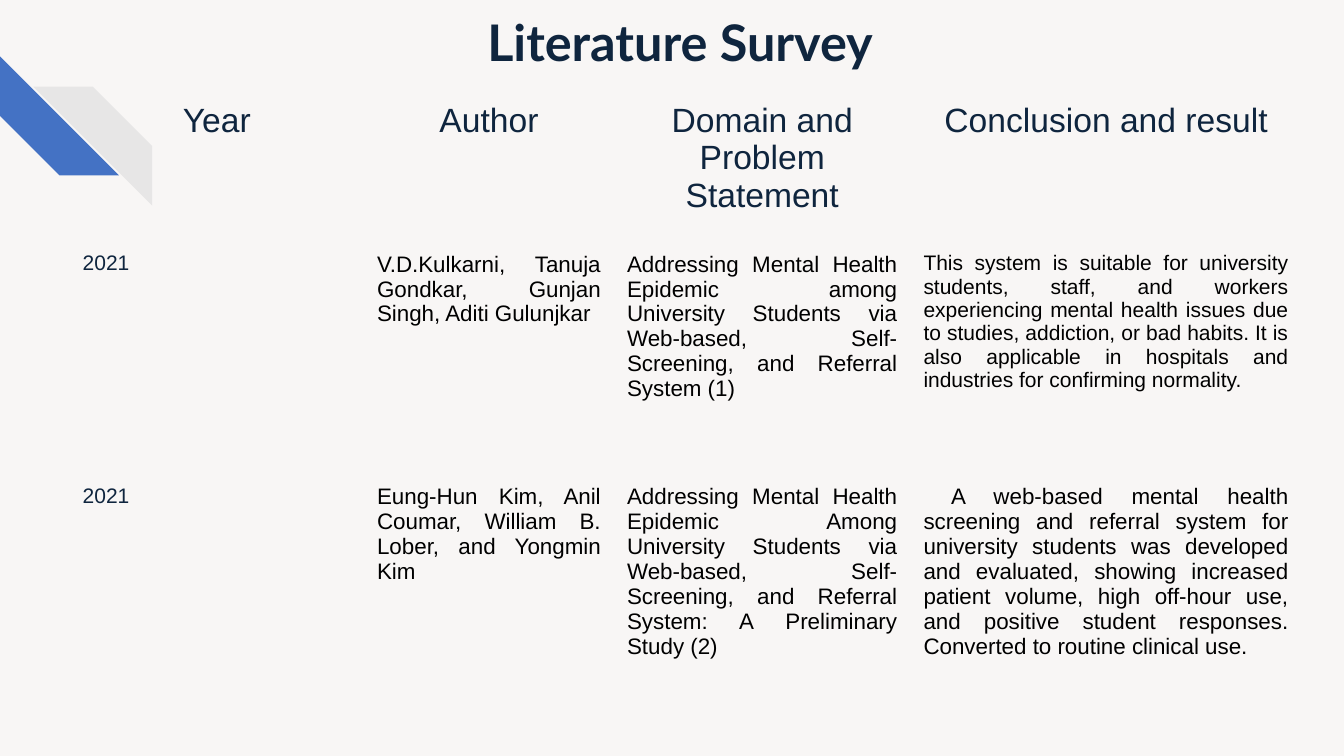
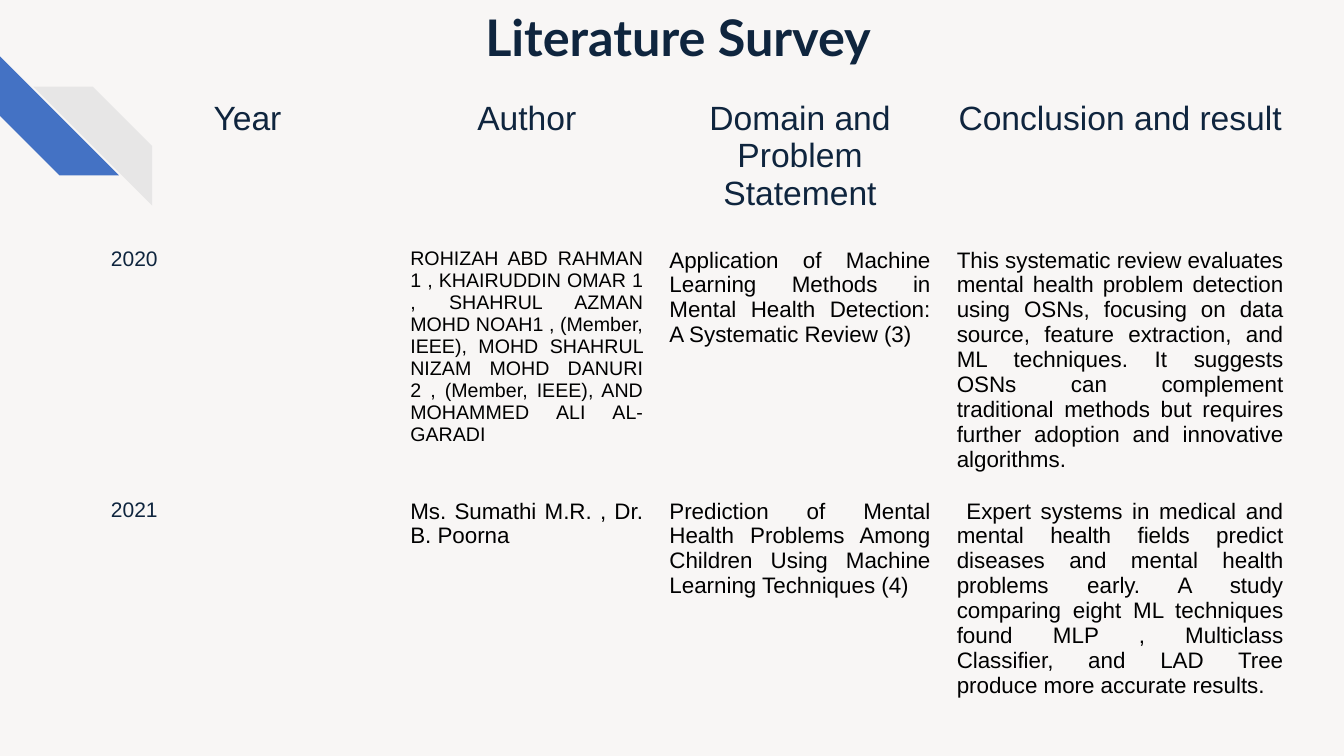
import pptx
import pptx.dml.color
import pptx.enum.shapes
import pptx.enum.text
import pptx.util

Inches, Pt = pptx.util.Inches, pptx.util.Pt
ALIGN = pptx.enum.text.PP_ALIGN

BACK, NAVY, BLACK = "F8F6F5", "0F253E", "000000"
BLUE, GREY = "4472C4", "E7E6E6"
NO_STYLE = "{2D5ABB26-0587-4C30-8999-92F81FD0307C}"
INSET = Inches(0.13)
MARGINS = {f"margin_{side}": INSET for side in ("left", "top", "right", "bottom")}
TITLE_FONT = {"name": "Lato", "size": Pt(36), "bold": True}
HEADERS = ["Year", "Author", "Domain and Problem Statement", "Conclusion and result"]

# Each paper: year, then (text, size) for author, domain and conclusion
SURVEYS = [
    {
        "title_at": (1.67, 0.05),
        "table_at": (0.69, 0.88),
        "cols": [2.92, 2.48, 2.94, 3.88],
        "rows": [1.49, 2.31, 2.46],
        "papers": [
            ("2021",
             ("V.D.Kulkarni, Tanuja Gondkar, Gunjan Singh, Aditi Gulunjkar", 16),
             ("Addressing Mental Health Epidemic among University Students via "
              "Web-based, Self-Screening, and Referral System (1)", 16),
             ("This system is suitable for university students, staff, and workers "
              "experiencing mental health issues due to studies, addiction, or bad "
              "habits. It is also applicable in hospitals and industries for "
              "confirming normality.", 15)),
            ("2021",
             ("Eung-Hun Kim, Anil Coumar, William B. Lober, and Yongmin Kim", 16),
             ("Addressing Mental Health Epidemic Among University Students via "
              "Web-based, Self-Screening, and Referral System: A Preliminary "
              "Study (2)", 16),
             (" A web-based mental health screening and referral system for "
              "university students was developed and evaluated, showing increased "
              "patient volume, high off-hour use, and positive student responses. "
              "Converted to routine clinical use.", 16)),
        ],
    },
    {
        "title_at": (1.65, 0),
        "table_at": (0.97, 0.86),
        "cols": [2.97, 2.57, 2.85, 3.5],
        "rows": [1.47, 2.49, 2.24],
        "papers": [
            ("2020",
             ("ROHIZAH ABD RAHMAN 1 , KHAIRUDDIN OMAR 1 , SHAHRUL AZMAN MOHD NOAH1 , "
              "(Member, IEEE), MOHD SHAHRUL NIZAM MOHD DANURI 2 , (Member, IEEE), "
              "AND MOHAMMED ALI AL-GARADI", 14),
             ("Application of Machine Learning Methods in Mental Health Detection: "
              "A Systematic Review (3)", 16),
             ("This systematic review evaluates mental health problem detection "
              "using OSNs, focusing on data source, feature extraction, and ML "
              "techniques. It suggests OSNs can complement traditional methods but "
              "requires further adoption and innovative algorithms.", 16)),
            ("2021",
             ("Ms. Sumathi M.R. , Dr. B. Poorna", 16),
             ("Prediction of Mental Health Problems Among Children Using Machine "
              "Learning Techniques (4)", 16),
             (" Expert systems in medical and mental health fields predict diseases "
              "and mental health problems early. A study comparing eight ML "
              "techniques found MLP , Multiclass Classifier, and LAD Tree produce "
              "more accurate results.", 16)),
        ],
    },
]


def rgb(color):
    return pptx.dml.color.RGBColor.from_string(color)


def set_attrs(obj, values):
    for name, value in values.items():
        setattr(obj, name, value)


def write(tf, text, color, align, font):
    p = tf.paragraphs[0]
    p.alignment = align
    r = p.add_run()
    r.text = text
    set_attrs(r.font, font)
    r.font.color.rgb = rgb(color)
    return p


def add_stripes(slide, left, top, size=1.18):
    """Two diagonal bands, the grey one offset down and right of the blue."""
    for dx, dy, rotation, color in ((0, 0, 270, BLUE), (0.33, 0.3, 90, GREY)):
        sp = slide.shapes.add_shape(
            pptx.enum.shapes.MSO_SHAPE.DIAGONAL_STRIPE,
            Inches(left + dx), Inches(top + dy), Inches(size), Inches(size))
        sp.adjustments[0] = 0.5
        sp.rotation = rotation
        sp.shadow.inherit = False
        sp.fill.solid()
        sp.fill.fore_color.rgb = rgb(color)
        sp.line.fill.background()


def add_title(slide, left, top):
    title = slide.shapes.title
    set_attrs(title, {"left": Inches(left), "top": Inches(top),
                      "width": Inches(10.26), "height": Inches(1.33)})
    tf = title.text_frame
    set_attrs(tf, {**MARGINS, "word_wrap": True,
                   "auto_size": pptx.enum.text.MSO_AUTO_SIZE.NONE,
                   "vertical_anchor": pptx.enum.text.MSO_ANCHOR.TOP})
    p = write(tf, "Literature Survey ", NAVY, ALIGN.CENTER, TITLE_FONT)
    p.line_spacing = 0.9


def fill_cell(cell, text, size, color, align):
    set_attrs(cell, MARGINS)
    cell.fill.background()
    write(cell.text_frame, text, color, align, {"name": "Arial", "size": Pt(size)})


def add_survey_table(slide, left, top, cols, rows, papers):
    table = slide.shapes.add_table(
        len(rows), len(cols), Inches(left), Inches(top),
        Inches(sum(cols)), Inches(sum(rows))).table
    set_attrs(table, {"first_row": False, "horz_banding": False})
    table._tbl.xpath("./a:tblPr/a:tableStyleId")[0].text = NO_STYLE
    for column, width in zip(table.columns, cols):
        column.width = Inches(width)
    for row, height in zip(table.rows, rows):
        row.height = Inches(height)

    for c, header in enumerate(HEADERS):
        fill_cell(table.cell(0, c), header, 24, NAVY, ALIGN.CENTER)
    for r, (year, *details) in enumerate(papers, 1):
        fill_cell(table.cell(r, 0), year, 15, NAVY, ALIGN.LEFT)
        for c, (text, size) in enumerate(details, 1):
            fill_cell(table.cell(r, c), text, size, BLACK, ALIGN.JUSTIFY)


def add_survey_slide(prs, survey):
    slide = prs.slides.add_slide(prs.slide_layouts.get_by_name("Title Only"))
    add_stripes(slide, 0, 0.56)
    add_title(slide, *survey["title_at"])
    add_survey_table(slide, *survey["table_at"], survey["cols"], survey["rows"],
                     survey["papers"])


def main():
    prs = pptx.Presentation()
    set_attrs(prs, {"slide_width": Inches(13.33), "slide_height": Inches(7.5)})
    fill = prs.slide_master.background.fill
    fill.solid()
    fill.fore_color.rgb = rgb(BACK)
    for survey in SURVEYS:
        add_survey_slide(prs, survey)
    prs.save("out.pptx")


if __name__ == "__main__":
    main()
